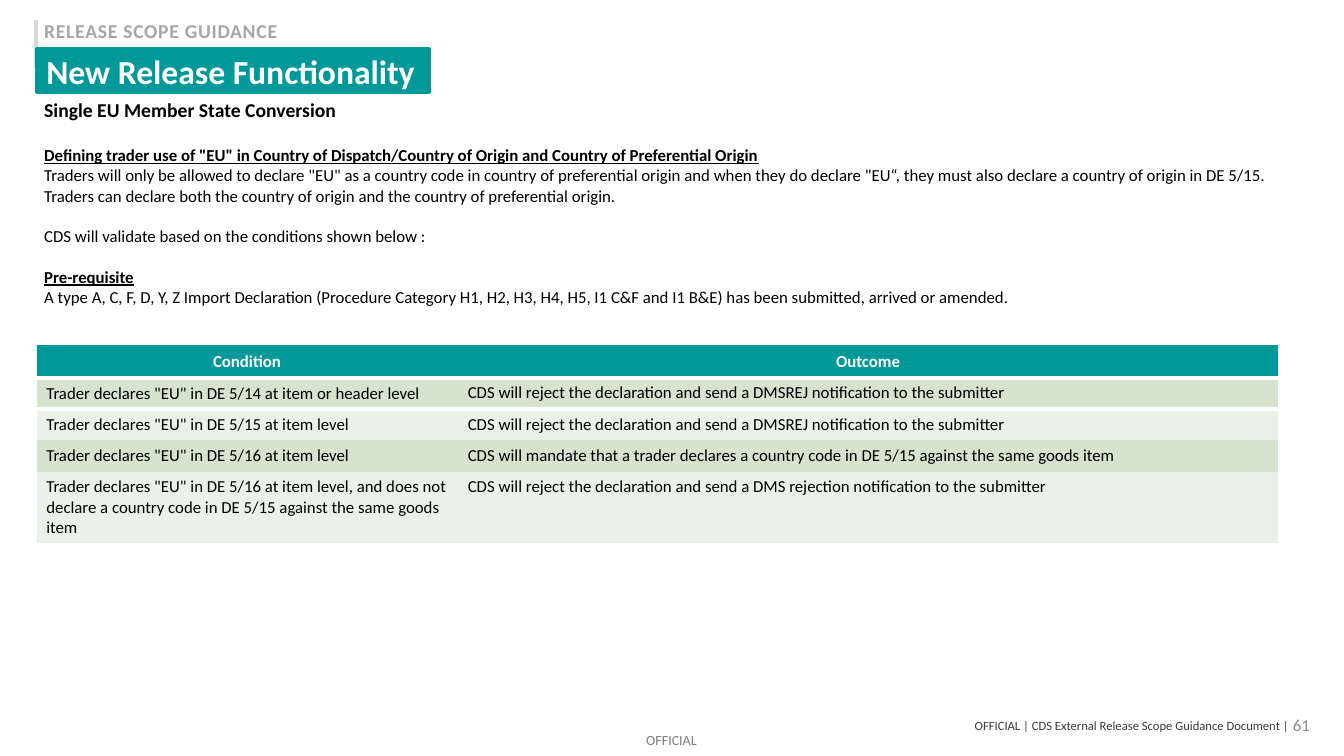
from lxml import etree
from pptx import Presentation
from pptx.dml.color import RGBColor
from pptx.enum.text import MSO_ANCHOR as Anchor, MSO_AUTO_SIZE as AutoSize, PP_ALIGN as Align
from pptx.enum.shapes import MSO_CONNECTOR as Connector
from pptx.oxml.ns import qn
from pptx.util import Pt

PX = 9144  # EMU in one px, 100 px to the inch
FONT = "Calibri"
TEAL = RGBColor(0x00, 0x99, 0x99)
BLACK = RGBColor(0x00, 0x00, 0x00)
WHITE = RGBColor(0xFF, 0xFF, 0xFF)
RULE_GREY = RGBColor(0xD9, 0xD9, 0xD9)
SECTION_GREY = RGBColor(0xA6, 0xA6, 0xA6)
NUMBER_GREY = RGBColor(0x8C, 0x8C, 0x8C)
MARK_GREY = RGBColor(0x7F, 0x7F, 0x7F)
FOOTER_GREY = RGBColor(0x3B, 0x3A, 0x3D)
BANDS = (RGBColor(0xD5, 0xE3, 0xCF), RGBColor(0xEB, 0xF1, 0xE9))

# Content
TITLE = "New Release Functionality"
HEADING = dict(bold=True, underline=True)
BODY = [
    ("Single EU Member State Conversion", dict(size=14, bold=True)),
    ('Defining trader use of "EU" in Country of Dispatch/Country of Origin '
     "and Country of Preferential Origin", dict(before=17, **HEADING)),
    ('Traders will only be allowed to declare "EU" as a country code in country of '
     'preferential origin and when they do declare "EU“, they must also declare a '
     "country of origin in DE 5/15. Traders can declare both the country of origin "
     "and the country of preferential origin.", {}),
    ("CDS will validate based on the conditions shown below :", dict(before=14.6)),
    ("Pre-requisite", dict(before=14.6, **HEADING)),
    ("A type A, C, F, D, Y, Z Import Declaration (Procedure Category H1, H2, H3, H4, "
     "H5, I1 C&F and I1 B&E) has been submitted, arrived or amended.", {}),
]
REJECT = "CDS will reject the declaration and send a DMSREJ notification to the submitter"
ROWS = [
    ("Condition", "Outcome"),
    ('Trader declares "EU" in DE 5/14 at item or header level', REJECT),
    ('Trader declares "EU" in DE 5/15 at item level', REJECT),
    ('Trader declares "EU" in DE 5/16 at item level',
     "CDS will mandate that a trader declares a country code in DE 5/15 "
     "against the same goods item"),
    ('Trader declares "EU" in DE 5/16 at item level, and does not declare a country '
     "code in DE 5/15 against the same goods item",
     "CDS will reject the declaration and send a DMS rejection notification to the submitter"),
]
COL_WIDTHS = (418, 814)
ROW_HEIGHTS = (33, 31, 31, 31, 71)

prs = Presentation()
prs.slide_width, prs.slide_height = 1333 * PX, 750 * PX
slide = prs.slides.add_slide(prs.slide_layouts[5])
shapes = slide.shapes


def write(p, text, size=12, color=BLACK, bold=False, underline=False,
          align=Align.LEFT, before=0, spacing=None):
    p.alignment = align
    p.space_before = Pt(before)
    r = p.add_run()
    r.text = text
    f = r.font
    f.name, f.size, f.bold, f.underline = FONT, Pt(size), bold, underline
    f.color.rgb = color
    if spacing:
        r._r.get_or_add_rPr().set("spc", str(spacing))


def add_text(box, paragraphs, anchor=Anchor.TOP, wrap=True, inset=True):
    left, top, width, height = (n * PX for n in box)
    tf = shapes.add_textbox(left, top, width, height).text_frame
    tf.word_wrap, tf.vertical_anchor = wrap, anchor
    if not inset:
        tf.margin_left = tf.margin_right = tf.margin_top = tf.margin_bottom = 0
    for i, (text, fmt) in enumerate(paragraphs):
        write(tf.add_paragraph() if i else tf.paragraphs[0], text, **fmt)


def add_border(tc_pr, index, side, points):
    ln = etree.Element(qn(f"a:ln{side}"), w=str(Pt(points)))
    fill = etree.SubElement(ln, qn("a:solidFill"))
    etree.SubElement(fill, qn("a:srgbClr"), val=str(WHITE))
    tc_pr.insert(index, ln)


# Marking, rules and section label
add_text((641, 726, 60, 17), [("OFFICIAL", dict(size=10, color=MARK_GREY))], inset=False)
for x in (36, 35):
    rule = shapes.add_connector(Connector.STRAIGHT, x * PX, 20 * PX, x * PX, 67 * PX)
    rule.line.color.rgb, rule.line.width = RULE_GREY, Pt(2.25)
    etree.SubElement(rule._element.spPr, qn("a:effectLst"))
add_text((34, 14, 254, 34), [("RELEASE SCOPE GUIDANCE",
         dict(size=14, color=SECTION_GREY, bold=True, spacing=50))], wrap=False)

# Footer
add_text((322, 712, 956, 16), [("OFFICIAL | CDS External Release Scope Guidance Document |",
         dict(size=9, color=FOOTER_GREY, align=Align.RIGHT))], Anchor.MIDDLE, inset=False)
add_text((1009, 699, 300, 40), [("61", dict(color=NUMBER_GREY, align=Align.RIGHT))],
         Anchor.MIDDLE)

# Title banner, in front of the rules
title = shapes.title
title.left, title.top, title.width, title.height = (n * PX for n in (36, 48, 390, 44))
title.fill.solid()
title.fill.fore_color.rgb = TEAL
title.line.color.rgb, title.line.width = TEAL, Pt(2)
tf = title.text_frame
tf.auto_size, tf.word_wrap, tf.vertical_anchor = AutoSize.NONE, True, Anchor.MIDDLE
write(tf.paragraphs[0], TITLE, size=24, color=WHITE, bold=True)
title.element.getparent().append(title.element)

# Body text
add_text((34, 92, 1253, 239), BODY)

# Conditions table
frame = shapes.add_table(len(ROWS), len(COL_WIDTHS), 36 * PX, 342 * PX,
                         sum(COL_WIDTHS) * PX, sum(ROW_HEIGHTS) * PX)
table = frame.table
table._tbl.tblPr.find(qn("a:tableStyleId")).text = "{2D5ABB26-0587-4C30-8999-92F81FD0307C}"
for column, width in zip(table.columns, COL_WIDTHS):
    column.width = width * PX
for i, (row, height) in enumerate(zip(ROWS, ROW_HEIGHTS)):
    table.rows[i].height = height * PX
    for j, text in enumerate(row):
        cell = table.cell(i, j)
        header = i == 0
        cell.vertical_anchor = Anchor.MIDDLE if header or j == 0 else Anchor.TOP
        cell.fill.solid()
        cell.fill.fore_color.rgb = TEAL if header else BANDS[(i - 1) % 2]
        write(cell.text_frame.paragraphs[0], text, bold=header,
              color=WHITE if header else BLACK,
              align=Align.CENTER if header else Align.LEFT)
        borders = [("R", 1) if j else ("L", 1)]
        if i < 2:
            borders.append(("T", 1 if header else 3))
        if header or i == len(ROWS) - 1:
            borders.append(("B", 3 if header else 1))
        for k, (side, points) in enumerate(borders):
            add_border(cell._tc.tcPr, k, side, points)

prs.save("out.pptx")
